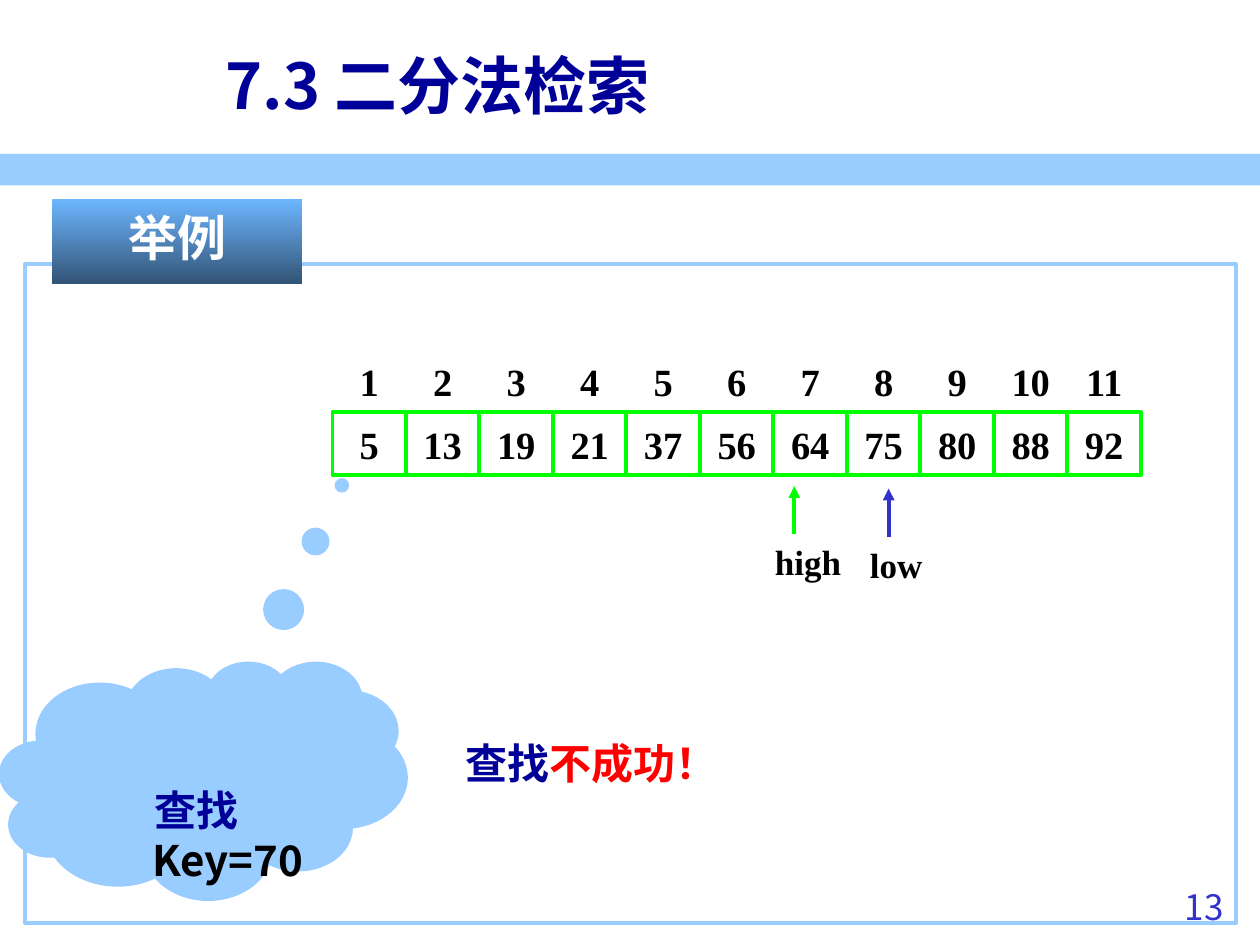
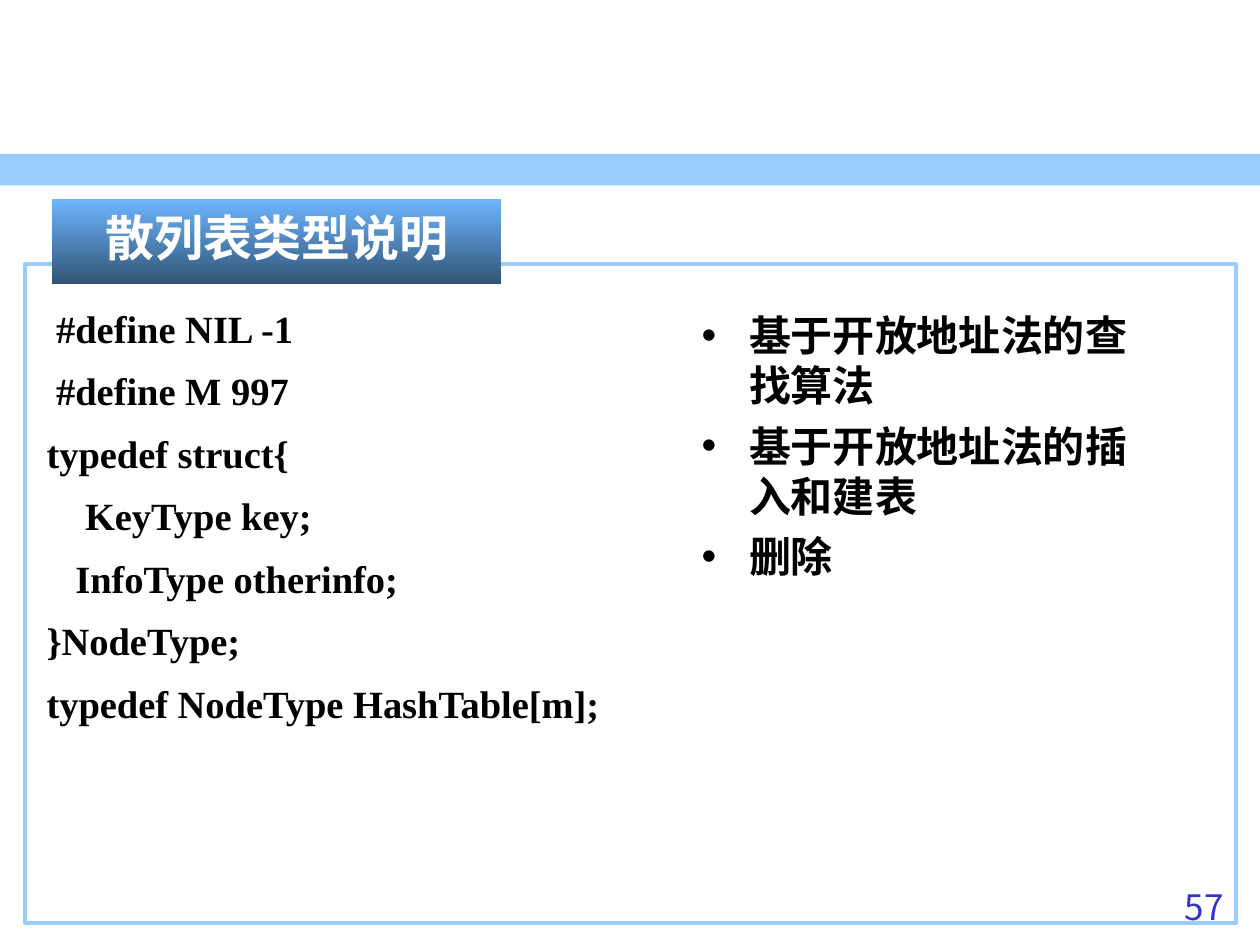
"""Build two lecture slides on binary search and hash tables."""
from lxml.etree import SubElement
from pptx import Presentation
from pptx.dml.color import RGBColor
from pptx.enum.shapes import MSO_CONNECTOR, MSO_SHAPE
from pptx.enum.text import MSO_ANCHOR, MSO_AUTO_SIZE, PP_ALIGN
from pptx.oxml.ns import qn
from pptx.util import Pt

SANS, GOTHIC, SERIF = "Noto Sans CJK SC", "Noto Sans CJK KR", "Times New Roman"
THEME = {
    "sky": RGBColor.from_string("99CCFF"),
    "navy": RGBColor.from_string("000099"),
    "blue": RGBColor.from_string("3333CC"),
    "green": RGBColor.from_string("00FF00"),
    "red": RGBColor.from_string("FF0000"),
    "black": RGBColor.from_string("000000"),
    "white": RGBColor.from_string("FFFFFF"),
    "fade": [RGBColor.from_string("6DB6FF"), RGBColor.from_string("325476")],
    "title": {"name": SANS, "size": Pt(36), "bold": True},
    "tab": {"name": GOTHIC, "size": Pt(28), "bold": True},
    "text": {"name": SANS, "size": Pt(24), "bold": True},
    "found": {"name": GOTHIC, "size": Pt(24), "bold": True},
    "code": {"name": SERIF, "size": Pt(22), "bold": True},
    "mark": {"name": SERIF, "size": Pt(20), "bold": True},
    "page": {"name": SANS, "size": Pt(20), "bold": False},
    "edge": Pt(2.25),
}
LEFT, MID, RIGHT = PP_ALIGN.LEFT, PP_ALIGN.CENTER, PP_ALIGN.RIGHT
TOP, HALF = MSO_ANCHOR.TOP, MSO_ANCHOR.MIDDLE


def draw(shapes, kind, box, fill=None, line=None, width=THEME["edge"]):
    """Add a preset shape with plain fill and line."""
    shape = shapes.add_shape(kind, *map(Pt, box))
    shape.shadow.inherit = False
    if fill is None:
        shape.fill.background()
    else:
        shape.fill.solid()
        shape.fill.fore_color.rgb = fill
    if line is None:
        shape.line.fill.background()
    else:
        shape.line.color.rgb = line
        shape.line.width = width
    return shape


def write(shape, rows, font, align=LEFT, anchor=TOP, wrap=True, before=0,
          space=None, margin=0, indent=0, bullet=None):
    """Write rows of (text, colour) runs; a line feed in a run breaks the line."""
    frame = shape.text_frame
    looks = {"word_wrap": wrap, "auto_size": MSO_AUTO_SIZE.NONE,
             "vertical_anchor": anchor, "margin_left": Pt(7.2),
             "margin_right": Pt(7.2), "margin_top": Pt(3.6),
             "margin_bottom": Pt(3.6)}
    for key, val in looks.items():
        setattr(frame, key, val)
    for num, row in enumerate(rows):
        para = frame.add_paragraph() if num else frame.paragraphs[0]
        looks = {"alignment": align, "space_before": Pt(before), "line_spacing": space}
        for key, val in looks.items():
            setattr(para, key, val)
        props = para._p.get_or_add_pPr()
        props.set("marL", str(Pt(margin)))
        props.set("indent", str(Pt(indent)))
        if bullet:
            SubElement(props, qn("a:buFont")).set("typeface", "Arial")
            SubElement(props, qn("a:buChar")).set("char", bullet)
        else:
            SubElement(props, qn("a:buNone"))
        for text, color in row:
            if text.startswith("\n"):
                para.add_line_break()
            run = para.add_run()
            run.text = text.strip("\n")
            for key, val in THEME[font].items():
                setattr(run.font, key, val)
            run.font.color.rgb = color


deck = Presentation()
deck.slide_width, deck.slide_height = Pt(720), Pt(540)
black = THEME["black"]

slides = []
for layout, label, wide, page in [(5, "举例", 142.6, "13"),
                                  (3, "散列表类型说明", 256.3, "57")]:
    slide = deck.slides.add_slide(deck.slide_layouts[layout])
    slides.append(slide)
    num = slide.shapes.add_textbox(Pt(638), Pt(502.5), Pt(68.4), Pt(37.5))
    write(num, [[(page, THEME["blue"])]], "page", RIGHT, space=Pt(24))
    draw(slide.shapes, MSO_SHAPE.RECTANGLE, (14.4, 151, 692, 376.6), line=THEME["sky"])
    tab = draw(slide.shapes, MSO_SHAPE.RECTANGLE, (30, 113.8, wide, 48.3))
    tab.fill.gradient()
    tab.fill.gradient_angle = 270
    for stop, color, spot in zip(tab.fill.gradient_stops, THEME["fade"], (0, 1)):
        stop.color.rgb = color
        stop.position = spot
    write(tab, [[(label, THEME["white"])]], "tab", MID, before=7, space=Pt(35))

search, hashing = slides

band = draw(search.shapes, MSO_SHAPE.RECTANGLE, (0, 88, 720.5, 18), THEME["sky"])
deck.slide_master.shapes.element.append(band.element)

title = search.shapes.title
looks = {"left": Pt(121.7), "top": Pt(15), "width": Pt(589.7), "height": Pt(66)}
for key, val in looks.items():
    setattr(title, key, val)
write(title, [[("7.3 二分法检索", THEME["navy"])]], "title", anchor=HALF)

keys = [5, 13, 19, 21, 37, 56, 64, 75, 80, 88, 92]
group = search.shapes.add_group_shape()
for pos, key in enumerate(keys):
    left = 190 + 42 * pos
    cell = draw(group.shapes, MSO_SHAPE.RECTANGLE, (left, 235.6, 42, 36),
                line=THEME["green"])
    head = group.shapes.add_textbox(Pt(left), Pt(199.6), Pt(42), Pt(36))
    for shape, value in [(cell, key), (head, pos + 1)]:
        write(shape, [[(str(value), black)]], "code", MID, HALF, wrap=False)

for name, color, x, y, left, wide in [
        ("low", THEME["blue"], 507.8, 306.8, 490, 44),
        ("high", THEME["green"], 453.9, 305.4, 435.7, 52)]:
    arrow = search.shapes.add_connector(MSO_CONNECTOR.STRAIGHT, Pt(x), Pt(y),
                                        Pt(x), Pt(y - 27.6))
    arrow.line.color.rgb = color
    arrow.line.width = THEME["edge"]
    SubElement(arrow.line._get_or_add_ln(), qn("a:tailEnd")).set("type", "triangle")
    SubElement(arrow.element.spPr, qn("a:effectLst"))
    mark = search.shapes.add_textbox(Pt(left), Pt(y), Pt(wide), Pt(31.5))
    write(mark, [[(name, black)]], "mark", wrap=False)

cloud = draw(search.shapes, MSO_SHAPE.CLOUD_CALLOUT, (0, 378, 232.6, 136),
             THEME["sky"], THEME["sky"], Pt(0.75))
cloud.adjustments[0], cloud.adjustments[1] = 0.34, -1.24
write(cloud, [[("查找", THEME["navy"]), ("\nKey=70", black)]], "text", MID,
      space=Pt(28.6), margin=44, indent=-35)
cloud.text_frame.margin_top = Pt(50)

result = search.shapes.add_textbox(Pt(258.8), Pt(418), Pt(212.4), Pt(36))
write(result, [[("查找", THEME["navy"]), ("不成功！", THEME["red"])]], "found",
      space=Pt(28.6), margin=27, indent=-27)

hashing.shapes.title.element.getparent().remove(hashing.shapes.title.element)
code, tasks = hashing.placeholders
for shape, box in [(code, (19.4, 162.7, 680.4, 351.4)),
                   (tasks, (393.8, 173.5, 278, 283.7))]:
    for key, val in zip(("left", "top", "width", "height"), box):
        setattr(shape, key, Pt(val))

lines = [(1, "#define NIL -1"), (1, "#define M 997"), (0, "typedef struct{"),
         (4, "KeyType key;"), (3, "InfoType otherinfo;"), (0, "}NodeType;"),
         (0, "typedef NodeType HashTable[m];")]
write(code, [[(text, black)] for _, text in lines], "code", PP_ALIGN.JUSTIFY,
      before=1.4, space=1.3)
for para, (step, _) in zip(code.text_frame.paragraphs, lines):
    para._p.get_or_add_pPr().set("marL", str(Pt(5.5 * step)))

items = ["基于开放地址法的查找算法", "基于开放地址法的插入和建表", "删除"]
write(tasks, [[(text, black)] for text in items], "text", before=6,
      space=Pt(28.6), margin=27, indent=-27, bullet="•")

for slide in slides:
    for latin in list(slide.element.iter(qn("a:latin"))):
        east = SubElement(latin.getparent(), qn("a:ea"))
        east.set("typeface", latin.get("typeface"))

deck.save("out.pptx")
